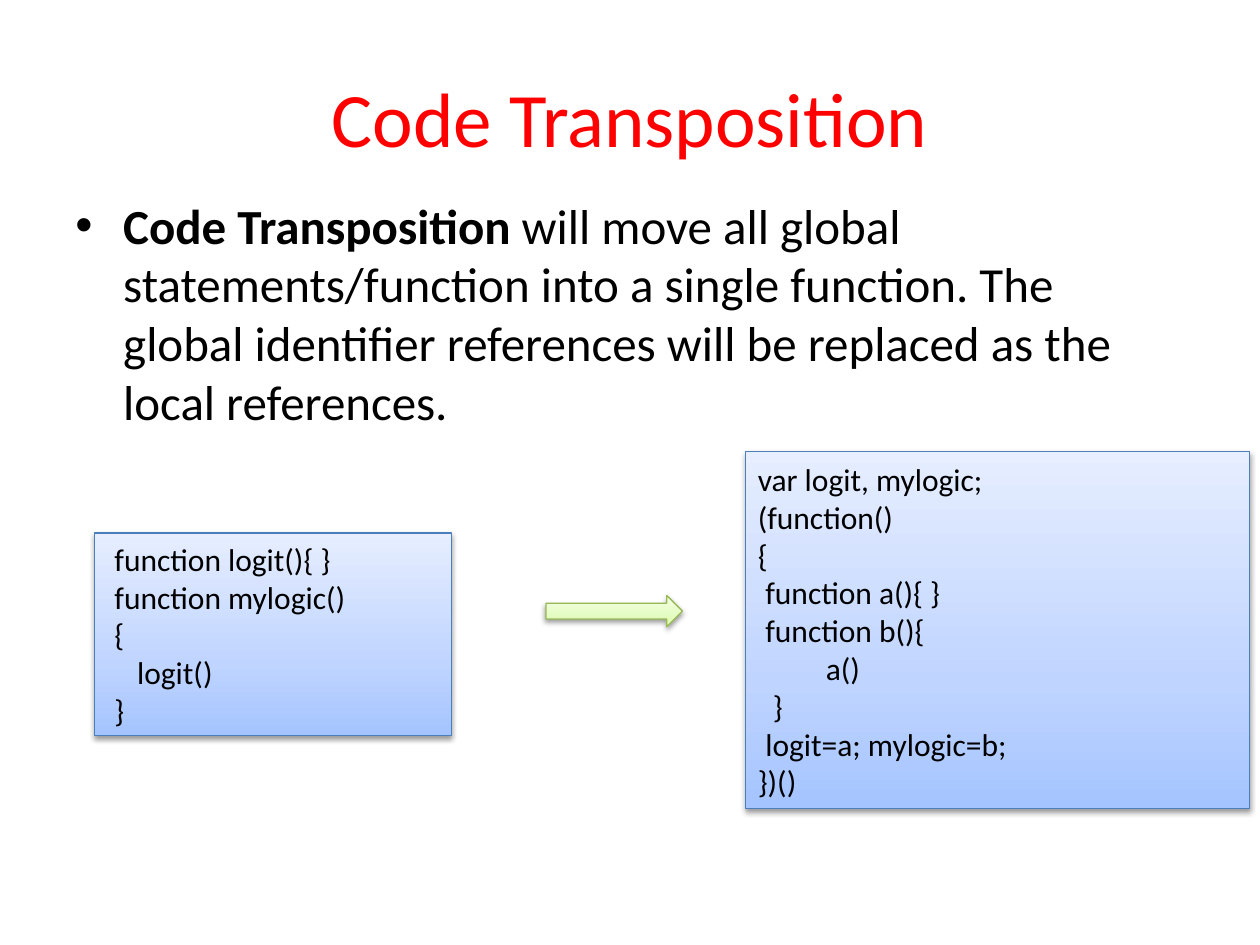
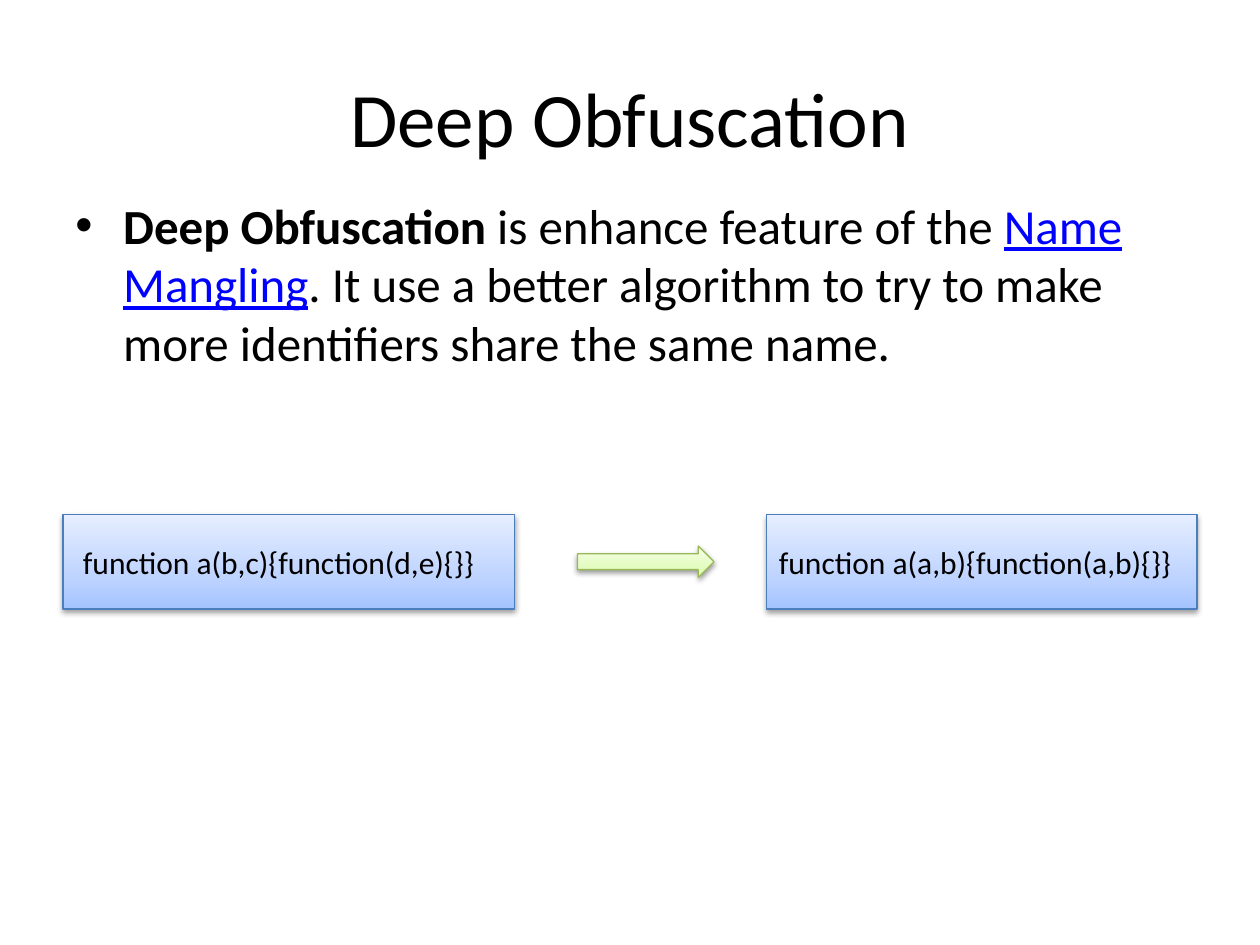
from lxml import etree
from pptx import Presentation
from pptx.dml.color import RGBColor
from pptx.enum.shapes import MSO_SHAPE
from pptx.enum.text import MSO_ANCHOR, PP_ALIGN
from pptx.oxml.ns import qn
from pptx.util import Inches, Pt

RECT, ARROW = MSO_SHAPE.RECTANGLE, MSO_SHAPE.RIGHT_ARROW
MIDDLE = MSO_ANCHOR.MIDDLE
LEFT, CENTER = PP_ALIGN.LEFT, PP_ALIGN.CENTER

FONT = "Calibri"
COLORS = {
    "text": "000000",
    "accent": "FF0000",
    "link": "0000FF",
    "shadow": "000000",
    "box_line": "4B7EBC",
    "arrow_line": "98B955",
}
GRADIENTS = {
    "box": ((0, "A4C4FF"), (35, "BFD4FF"), (100, "E6EEFF")),
    "arrow": ((0, "DAFDA7"), (35, "E4FCC2"), (100, "F5FFE7")),
}
CELLS_PER_INCH = 12
TITLE_AREA = (6, 3.6, 108, 15)
BODY_AREA = (6, 18, 108, 62.4)
ARROW_SIZE = (13, 3)
BULLET_INDENT = Inches(0.38)
CODE_INDENT = 0.06


def cells(*counts):
    """Turn counts of grid cells into lengths."""
    return [Inches(n / CELLS_PER_INCH) for n in counts]


def add_run(p, text, size, color="text", bold=False, underline=False):
    r = p.add_run()
    r.text = text
    r.font.name = FONT
    r.font.size = Pt(size)
    r.font.bold = bold
    r.font.underline = underline
    r.font.color.rgb = RGBColor.from_string(COLORS[color])


def set_title(slide, text, color="text"):
    title = slide.shapes.title
    title.left, title.top, title.width, title.height = cells(*TITLE_AREA)
    tf = title.text_frame
    tf.vertical_anchor = MIDDLE
    p = tf.paragraphs[0]
    p.alignment = CENTER
    add_run(p, text, 44, color)


def add_bullet_text(slide, runs):
    tf = slide.shapes.add_textbox(*cells(*BODY_AREA)).text_frame
    tf.word_wrap = True
    p = tf.paragraphs[0]
    p.space_before = Pt(5.6)
    pPr = p._p.get_or_add_pPr()
    pPr.set("marL", str(BULLET_INDENT))
    pPr.set("indent", str(-BULLET_INDENT))
    etree.SubElement(pPr, qn("a:buFont")).set("typeface", "Arial")
    etree.SubElement(pPr, qn("a:buChar")).set("char", "•")
    for text, style in runs:
        add_run(p, text, 28, **style)


def add_color(parent, color):
    clr = etree.SubElement(parent, qn("a:srgbClr"))
    clr.set("val", color)
    return clr


def fill_gradient(sp, stops):
    """Fill from the bottom up."""
    sp.fill.gradient()
    sp.fill.gradient_angle = 90
    stop_list = sp._element.spPr.find(qn("a:gradFill")).find(qn("a:gsLst"))
    for gs in list(stop_list):
        stop_list.remove(gs)
    for percent, color in stops:
        gs = etree.SubElement(stop_list, qn("a:gs"))
        gs.set("pos", str(percent * 1000))
        add_color(gs, color)


def add_shadow(sp):
    sp.shadow.inherit = False
    effects = sp._element.spPr.find(qn("a:effectLst"))
    shadow = etree.SubElement(effects, qn("a:outerShdw"))
    shadow.set("blurRad", str(Pt(3.1)))
    shadow.set("dist", str(Pt(1.6)))
    shadow.set("dir", str(90 * 60000))
    shadow.set("rotWithShape", "0")
    alpha = etree.SubElement(add_color(shadow, COLORS["shadow"]), qn("a:alpha"))
    alpha.set("val", "38000")


def add_glossy_shape(slide, preset, area, look):
    sp = slide.shapes.add_shape(preset, *cells(*area))
    fill_gradient(sp, GRADIENTS[look])
    sp.line.color.rgb = RGBColor.from_string(COLORS[look + "_line"])
    sp.line.width = Pt(0.75)
    add_shadow(sp)
    return sp


def add_code_box(slide, area, lines):
    """Lines are pairs of indent steps and code."""
    tf = add_glossy_shape(slide, RECT, area, "box").text_frame
    tf.word_wrap = True
    tf.vertical_anchor = MIDDLE
    for i, (steps, code) in enumerate(lines):
        p = tf.add_paragraph() if i else tf.paragraphs[0]
        p.alignment = LEFT
        p._p.get_or_add_pPr().set("marL", str(Inches(steps * CODE_INDENT)))
        add_run(p, code, 18)


def add_arrow(slide, left, top):
    add_glossy_shape(slide, ARROW, (left, top, *ARROW_SIZE), "arrow")


def add_topic_slide(prs, title, runs, title_color="text"):
    slide = prs.slides.add_slide(prs.slide_layouts[5])
    set_title(slide, title, title_color)
    add_bullet_text(slide, runs)
    return slide


def build_transposition(prs):
    slide = add_topic_slide(prs, "Code Transposition", [
        ("Code Transposition ", {"bold": True}),
        ("will move all global statements/function into a single function. "
         "The global identifier references will be replaced as the local "
         "references.", {}),
    ], "accent")
    add_code_box(slide, (9, 50.75, 34, 19.3), [
        (1, "function logit(){ }"),
        (1, "function mylogic()"),
        (1, "{"),
        (4, "logit()"),
        (1, "}"),
    ])
    add_code_box(slide, (71, 43, 48, 34), [
        (0, "var logit, mylogic;"),
        (0, "(function()"),
        (0, "{"),
        (1, "function a(){ }"),
        (1, "function b(){"),
        (9, "a()"),
        (2, "}"),
        (1, "logit=a; mylogic=b;"),
        (0, "})()"),
    ])
    add_arrow(slide, 52, 56.7)


def build_deep_obfuscation(prs):
    slide = add_topic_slide(prs, "Deep Obfuscation", [
        ("Deep Obfuscation ", {"bold": True}),
        ("is enhance feature of the ", {}),
        ("Name Mangling", {"color": "link", "underline": True}),
        (". It use a better algorithm to try to make more identifiers share "
         "the same name.", {}),
    ])
    add_code_box(slide, (6, 49, 43, 9),
                 [(1, "function a(b,c){function(d,e){}}")])
    add_code_box(slide, (73, 49, 41, 9),
                 [(0, "function a(a,b){function(a,b){}}")])
    add_arrow(slide, 55, 52)


def main():
    prs = Presentation()
    prs.slide_width, prs.slide_height = Inches(10), Inches(7.5)
    build_transposition(prs)
    build_deep_obfuscation(prs)
    prs.save("out.pptx")


if __name__ == "__main__":
    main()
